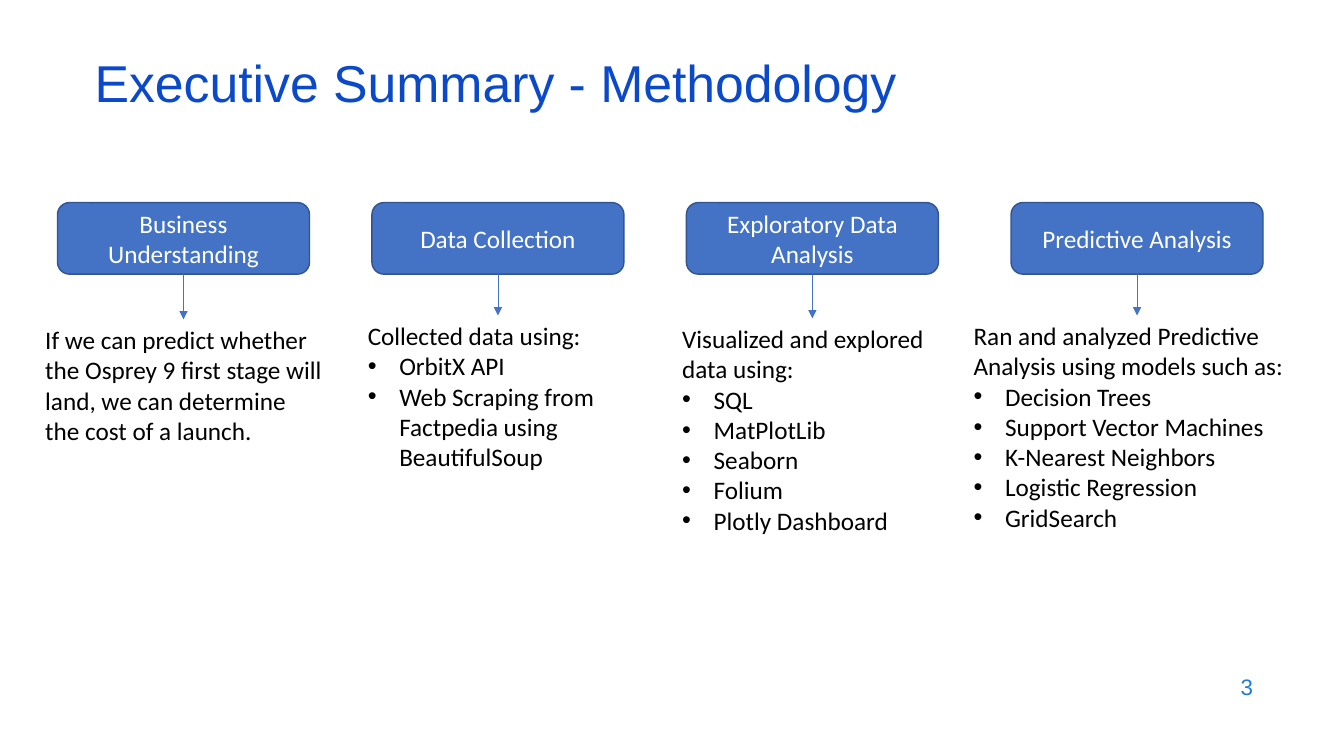
from dataclasses import dataclass

from lxml.etree import SubElement
from pptx import Presentation
from pptx.dml.color import RGBColor
from pptx.enum.shapes import MSO_CONNECTOR as Connector, MSO_SHAPE as Preset
from pptx.enum.text import MSO_ANCHOR as Anchor, MSO_AUTO_SIZE as AutoSize, PP_ALIGN as Align
from pptx.oxml.ns import qn
from pptx.shapes.autoshape import Shape
from pptx.slide import Slide
from pptx.text.text import _Paragraph as Paragraph
from pptx.util import Pt


@dataclass(frozen=True)
class Theme:
    heading_font: str = "Arial"
    body_font: str = "Calibri"
    title_size: float = 37
    number_size: float = 16
    body_size: float = 18
    title: RGBColor = RGBColor(0x0B, 0x49, 0xCB)
    number: RGBColor = RGBColor(0x1C, 0x7D, 0xDB)
    card: RGBColor = RGBColor(0x44, 0x72, 0xC4)
    card_line: RGBColor = RGBColor(0x32, 0x54, 0x91)
    card_text: RGBColor = RGBColor(0xFF, 0xFF, 0xFF)
    body: RGBColor = RGBColor(0, 0, 0)


@dataclass(frozen=True)
class Stage:
    name: str
    center: float
    detail_top: float
    detail_width: float
    detail_lines: int
    intro: str
    bullets: tuple[str, ...] = ()


THEME = Theme()
CARD_TOP, CARD_WIDTH, CARD_HEIGHT = 144.7, 180, 51.1
LINE_HEIGHT, BOX_PADDING, BULLET_INDENT = 21.8, 7.2, 22.5

STAGES = (
    Stage("Business Understanding", 131.1, 228.2, 211.7, 4,
          "If we can predict whether the Osprey 9 first stage will land, "
          "we can determine the cost of a launch."),
    Stage("Data Collection", 355.7, 225.4, 200.2, 5, "Collected data using:",
          ("OrbitX API", "Web Scraping from Factpedia using BeautifulSoup")),
    Stage("Exploratory Data Analysis", 580.3, 227.5, 200.2, 8,
          "Visualized and explored data using:",
          ("SQL", "MatPlotLib", "Seaborn", "Folium", "Plotly Dashboard")),
    Stage("Predictive Analysis", 812.2, 225.4, 247.7, 7,
          "Ran and analyzed Predictive Analysis using models such as:",
          ("Decision Trees", "Support Vector Machines", "K-Nearest Neighbors",
           "Logistic Regression", "GridSearch")),
)


def add_run(paragraph: Paragraph, text: str, size: float, color: RGBColor,
            font: str = THEME.body_font) -> None:
    """Append one styled run to a paragraph."""
    run = paragraph.add_run()
    run.text = text
    run.font.name = font
    run.font.size = Pt(size)
    run.font.color.rgb = color


def add_text_box(slide: Slide, left: float, top: float, width: float, height: float,
                 anchor: Anchor = Anchor.TOP) -> Shape:
    """Add an empty wrapping text box."""
    box = slide.shapes.add_textbox(Pt(left), Pt(top), Pt(width), Pt(height))
    box.text_frame.word_wrap = True
    box.text_frame.vertical_anchor = anchor
    return box


def add_card(slide: Slide, stage: Stage) -> Shape:
    """Add the rounded card naming a stage."""
    card = slide.shapes.add_shape(Preset.ROUNDED_RECTANGLE, Pt(stage.center - CARD_WIDTH / 2),
                                  Pt(CARD_TOP), Pt(CARD_WIDTH), Pt(CARD_HEIGHT))
    card.shadow.inherit = False
    card.fill.solid()
    card.fill.fore_color.rgb = THEME.card
    card.line.color.rgb = THEME.card_line
    card.line.width = Pt(1)
    card.text_frame.word_wrap = True
    card.text_frame.vertical_anchor = Anchor.MIDDLE
    paragraph = card.text_frame.paragraphs[0]
    paragraph.alignment = Align.CENTER
    add_run(paragraph, stage.name, THEME.body_size, THEME.card_text)
    return card


def add_bullet(paragraph: Paragraph) -> None:
    """Give a paragraph a round bullet and a hanging indent."""
    properties = paragraph._p.get_or_add_pPr()
    properties.set("marL", str(Pt(BULLET_INDENT)))
    properties.set("indent", str(-Pt(BULLET_INDENT)))
    SubElement(properties, qn("a:buFont"), typeface=THEME.heading_font)
    SubElement(properties, qn("a:buChar"), char="•")


def add_detail(slide: Slide, stage: Stage) -> Shape:
    """Add the description centred under a stage card."""
    height = stage.detail_lines * LINE_HEIGHT + BOX_PADDING
    box = add_text_box(slide, stage.center - stage.detail_width / 2, stage.detail_top,
                       stage.detail_width, height)
    frame = box.text_frame
    frame.auto_size = AutoSize.SHAPE_TO_FIT_TEXT
    add_run(frame.paragraphs[0], stage.intro, THEME.body_size, THEME.body)
    for text in stage.bullets:
        paragraph = frame.add_paragraph()
        add_bullet(paragraph)
        add_run(paragraph, text, THEME.body_size, THEME.body)
    return box


def add_arrow(slide: Slide, card: Shape, detail: Shape) -> None:
    """Join a card to its description with an arrow."""
    arrow = slide.shapes.add_connector(Connector.STRAIGHT, 0, 0, 0, 0)
    arrow.begin_connect(card, 2)
    arrow.end_connect(detail, 0)
    arrow.line.color.rgb = THEME.card
    arrow.line.width = Pt(0.5)
    properties = arrow.element.spPr
    SubElement(properties.find(qn("a:ln")), qn("a:tailEnd"), type="triangle")
    SubElement(properties, qn("a:effectLst"))


def main() -> None:
    """Build and save the methodology slide."""
    presentation = Presentation()
    presentation.slide_width, presentation.slide_height = Pt(960), Pt(540)
    slide = presentation.slides.add_slide(presentation.slide_layouts[6])

    number = add_text_box(slide, 686.2, 474.5, 216, 31.7, Anchor.MIDDLE)
    paragraph = number.text_frame.paragraphs[0]
    paragraph.alignment = Align.RIGHT
    paragraph.space_after = Pt(6)
    add_run(paragraph, "3", THEME.number_size, THEME.number, THEME.heading_font)

    title = add_text_box(slide, 60.5, 42.5, 828, 43.2, Anchor.MIDDLE)
    paragraph = title.text_frame.paragraphs[0]
    paragraph.line_spacing = 0.7
    add_run(paragraph, "Executive Summary - Methodology", THEME.title_size, THEME.title,
            THEME.heading_font)

    cards = [add_card(slide, stage) for stage in STAGES]
    details = [add_detail(slide, stage) for stage in STAGES]
    for card, detail in zip(cards, details):
        add_arrow(slide, card, detail)

    presentation.save("out.pptx")


if __name__ == "__main__":
    main()
